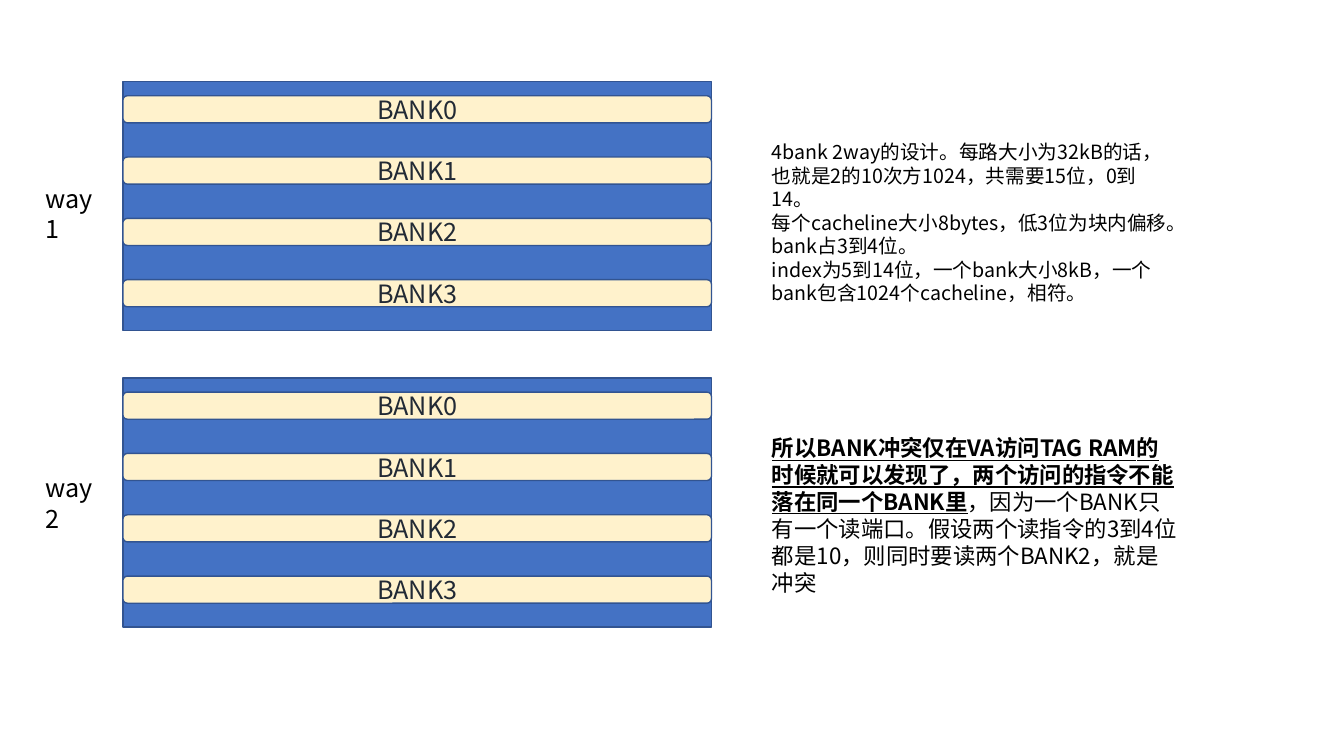
from lxml import etree
from pptx import Presentation
from pptx.dml.color import RGBColor
from pptx.enum import shapes, text
from pptx.oxml.ns import qn
from pptx.util import Pt

# Content: each text is a list of paragraphs, each a list of (words, emphasised) runs
BANKS = ["BANK0", "BANK1", "BANK2", "BANK3"]
WAYS = [
    {"name": "way1", "top": 58.3, "label_top": 127.4},
    {"name": "way2", "top": 270, "label_top": 334.1},
]
DESIGN_NOTE = [
    [("4bank 2way的设计。每路大小为32kB的话，也就是2的10次方1024，共需要15位，0到14。", False)],
    [("每个cacheline大小8bytes，低3位为块内偏移。", False)],
    [("bank占3到4位。", False)],
    [("index为5到14位，一个bank大小8kB，一个bank包含1024个cacheline，相符。", False)],
]
CONFLICT_NOTE = [[
    ("所以BANK冲突仅在VA访问TAG RAM的时候就可以发现了，两个访问的指令不能落在同一个BANK里", True),
    ("，因为一个BANK只有一个读端口。假设两个读指令的3到4位都是10，则同时要读两个BANK2，就是冲突", False),
]]

# Style and measures in points
FONT = "Noto Sans CJK SC"
COLORS = {"way": "4472C4", "bank": "FFF2CC", "line": "325491",
          "bank_text": "222A35", "text": "000000"}
WAY_LEFT, WAY_WIDTH, WAY_HEIGHT = 87.8, 420.5, 177.8
BANK_OFFSET, BANK_STEP, BANK_HEIGHT = 10.1, 43.8, 19.4
LABEL_LEFT, NOTE_LEFT = 25.2, 544.3

presentation = Presentation()
presentation.slide_width, presentation.slide_height = Pt(960), Pt(540)
slide = presentation.slides.add_slide(presentation.slide_layouts[6])


def write(shape, paragraphs, size, color="text", align=text.PP_ALIGN.LEFT,
          anchor=text.MSO_ANCHOR.TOP):
    frame = shape.text_frame
    frame.word_wrap = True
    frame.vertical_anchor = anchor
    for index, runs in enumerate(paragraphs):
        paragraph = frame.add_paragraph() if index else frame.paragraphs[0]
        paragraph.alignment = align
        for words, emphasised in runs:
            run = paragraph.add_run()
            run.text = words
            font = run.font
            font.size, font.name = Pt(size), FONT
            font.bold = font.underline = emphasised
            font.color.rgb = RGBColor.from_string(COLORS[color])
            east_asian = etree.SubElement(run._r.get_or_add_rPr(), qn("a:ea"))
            east_asian.set("typeface", FONT)


def add_box(kind, top, height, fill):
    shape = slide.shapes.add_shape(kind, Pt(WAY_LEFT), Pt(top), Pt(WAY_WIDTH), Pt(height))
    shape.shadow.inherit = False
    shape.fill.solid()
    shape.fill.fore_color.rgb = RGBColor.from_string(COLORS[fill])
    shape.line.color.rgb = RGBColor.from_string(COLORS["line"])
    shape.line.width = Pt(1)
    return shape


def add_text(left, top, width, height, paragraphs, size):
    box = slide.shapes.add_textbox(Pt(left), Pt(top), Pt(width), Pt(height))
    write(box, paragraphs, size)
    box.text_frame.auto_size = text.MSO_AUTO_SIZE.SHAPE_TO_FIT_TEXT


# Cache ways, each with its evenly spaced banks and its label
for way in WAYS:
    add_box(shapes.MSO_SHAPE.RECTANGLE, way["top"], WAY_HEIGHT, "way")
    for row, bank in enumerate(BANKS):
        bank_top = way["top"] + BANK_OFFSET + row * BANK_STEP
        bar = add_box(shapes.MSO_SHAPE.ROUNDED_RECTANGLE, bank_top, BANK_HEIGHT, "bank")
        write(bar, [[(bank, False)]], 18, color="bank_text",
              align=text.PP_ALIGN.CENTER, anchor=text.MSO_ANCHOR.MIDDLE)
    add_text(LABEL_LEFT, way["label_top"], 54.7, 28.8, [[(way["name"], False)]], 18)

# Notes on the right
add_text(NOTE_LEFT, 96.5, 298.1, 108.7, DESIGN_NOTE, 14)
add_text(NOTE_LEFT, 306.7, 306, 104.4, CONFLICT_NOTE, 16)

presentation.save("out.pptx")
